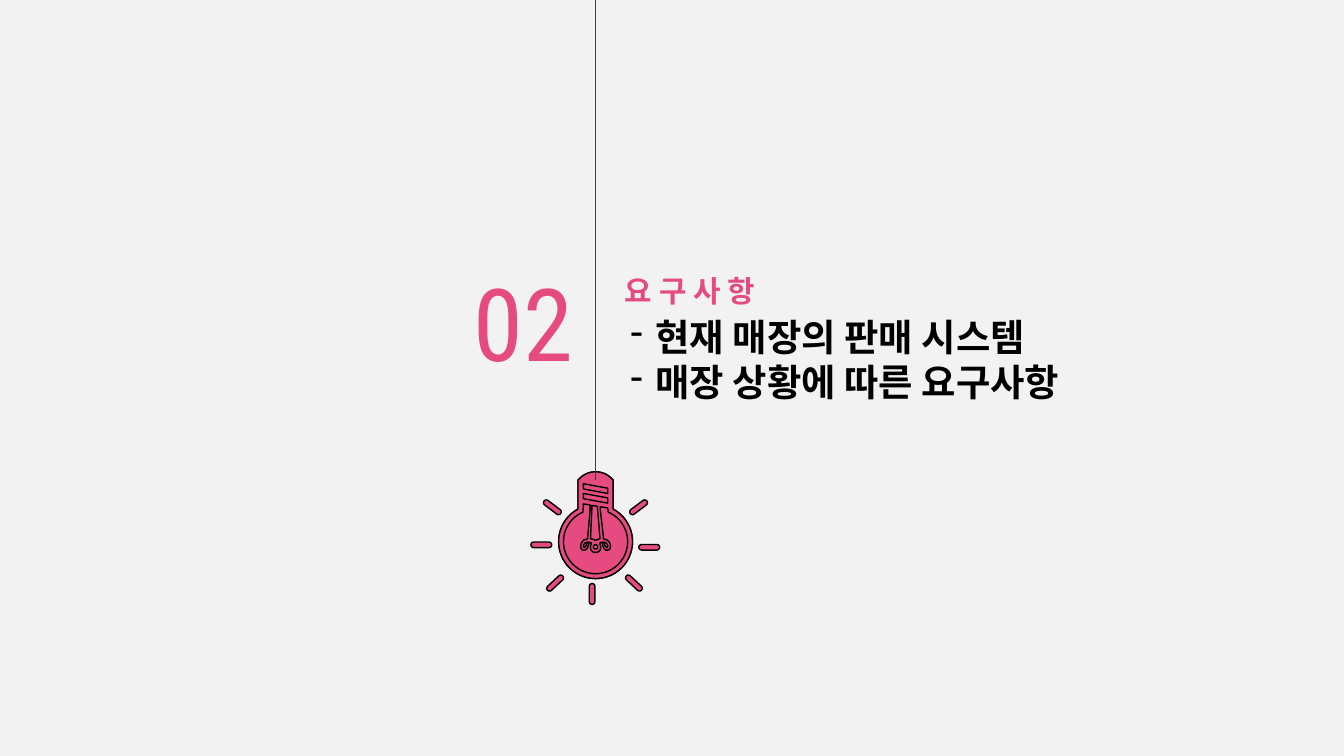
from dataclasses import dataclass
from math import cos, radians, sin

from lxml import etree
from pptx import Presentation
from pptx.dml.color import RGBColor
from pptx.enum.shapes import MSO_CONNECTOR, MSO_SHAPE
from pptx.enum.text import MSO_AUTO_SIZE, PP_ALIGN
from pptx.oxml.ns import qn
from pptx.util import Pt

LEFT, CENTER = PP_ALIGN.LEFT, PP_ALIGN.CENTER
FIT = MSO_AUTO_SIZE.SHAPE_TO_FIT_TEXT
CAPSULE = MSO_SHAPE.ROUNDED_RECTANGLE
STRAIGHT = MSO_CONNECTOR.STRAIGHT


@dataclass(frozen=True)
class Theme:
    background: str = "F2F2F2"
    accent: str = "E54B81"
    ink: str = "000000"
    cord: str = "404040"
    body_font: str = "Arial"
    number_font: str = "Roboto Condensed"
    heading_size: float = 16
    item_size: float = 20
    number_size: float = 54
    outline: float = 0.75
    cord_width: float = 1


def rgb(code):
    return RGBColor.from_string(code)


def format_text(para, text, *, font, size, color, bold=False, align=LEFT, dash_indent=0):
    para.alignment = align
    if dash_indent:
        properties = para._p.get_or_add_pPr()
        properties.set("marL", str(Pt(dash_indent)))
        properties.set("indent", str(-Pt(dash_indent)))
        etree.SubElement(properties, qn("a:buFontTx"))
        etree.SubElement(properties, qn("a:buChar")).set("char", "-")
    span = para.add_run()
    span.text = text
    span.font.name = font
    span.font.size = Pt(size)
    span.font.bold = bold
    span.font.color.rgb = rgb(color)


def arc(radius, start, end, center=(0, 0), steps=48):
    angles = [radians(start + (end - start) * i / steps) for i in range(steps + 1)]
    return [(center[0] + radius * sin(a), center[1] - radius * cos(a)) for a in angles]


def mirror(points):
    return [(-x, y) for x, y in reversed(points)]


class Slide:
    def __init__(self, deck, theme):
        self.theme = theme
        self.page = deck.slides.add_slide(deck.slide_layouts[6])
        fill = self.page.background.fill
        fill.solid()
        fill.fore_color.rgb = rgb(theme.background)

    def text(self, left, top, width, height, lines, margins=(0, 0, 0), **style):
        box = self.page.shapes.add_textbox(Pt(left), Pt(top), Pt(width), Pt(height))
        frame = box.text_frame
        frame.word_wrap = True
        frame.auto_size = FIT
        frame.margin_left, frame.margin_right = Pt(margins[0]), Pt(margins[1])
        frame.margin_top = frame.margin_bottom = Pt(margins[2])
        for index, line in enumerate(lines):
            para = frame.add_paragraph() if index else frame.paragraphs[0]
            format_text(para, line, **style)

    def group(self):
        return self.page.shapes.add_group_shape().shapes

    def paint(self, shape):
        shape.shadow.inherit = False
        shape.fill.solid()
        shape.fill.fore_color.rgb = rgb(self.theme.accent)
        shape.line.color.rgb = rgb(self.theme.ink)
        shape.line.width = Pt(self.theme.outline)

    def outline(self, shapes, origin, contours):
        placed = [[(Pt(origin[0] + x), Pt(origin[1] + y)) for x, y in contour]
                  for contour in contours]
        builder = shapes.build_freeform(*placed[0][0], scale=1.0)
        for index, contour in enumerate(placed):
            if index:
                builder.move_to(*contour[0])
            builder.add_line_segments(contour[1:], close=True)
        self.paint(builder.convert_to_shape())

    def ray(self, shapes, center, length, thickness, angle):
        shape = shapes.add_shape(CAPSULE, Pt(center[0] - length / 2),
                                 Pt(center[1] - thickness / 2), Pt(length), Pt(thickness))
        shape.adjustments[0] = 0.5
        shape.rotation = angle
        self.paint(shape)

    def cord(self, shapes, start, end):
        line = shapes.add_connector(STRAIGHT, *(Pt(value) for value in (*start, *end)))
        line.line.color.rgb = rgb(self.theme.cord)
        line.line.width = Pt(self.theme.cord_width)
        etree.SubElement(line._element.spPr, qn("a:effectLst"))


def bulb_contours():
    cap = arc(12.1, -48, 48, center=(0, -25.3), steps=16)
    body = arc(19.8, 28.4, 331.6) + [(-9.4, -33)] + cap + [(9.4, -33)]
    slots = [[(-6.5, y), (6.5, y + 2.4), (6.5, y + 5.2), (-6.5, y + 2.8)]
             for y in (-31, -25.8)]
    coil = [(-4.3, -1.4), (-6.2, -0.9), (-7.5, 0.5), (-8, 2.2), (-7.8, 3.7),
            (-7, 4.5), (-5.6, 4.6), (-4.5, 3.6), (-3.8, 2), (-3.5, 0.2),
            (-2.2, 0.8), (-2.8, 2.9), (-2.5, 4.4), (-1.5, 5.5), (0, 5.8)]
    glass = (arc(17.2, 23.3, 336.7) + [(-6.5, -20.2), (-2.9, -19.6), (-2.9, -17.3)]
             + coil + mirror(coil)[1:] + [(2.5, -17.3), (2.5, -18.7), (6.5, -18)])
    stem = [(0, -0.6), (-1.2, -1.2), (-2.7, -1.5), (-2, -17.3), (-2, -19.4),
            (1, -18.9), (1.1, -17.3), (2.4, -1.5), (1.2, -1.2)]
    eye = [(-4.4, 0.2), (-4.8, 1.8), (-5.5, 2.8), (-6.4, 3.1), (-6.6, 2.2), (-5.8, 0.8)]
    knot = arc(1.2, 0, 360, center=(0, 2.8), steps=16)
    return body, [*slots, glass, stem, eye, mirror(eye), knot]


def main():
    theme = Theme()
    deck = Presentation()
    deck.slide_width, deck.slide_height = Pt(720), Pt(405)
    slide = Slide(deck, theme)

    slide.text(334.8, 146.2, 246.2, 19.4, ["요 구 사 항"], font=theme.body_font,
               size=theme.heading_size, color=theme.accent, bold=True)
    slide.text(337.7, 164.9, 260.6, 55.4,
               ["현재 매장의 판매 시스템", "매장 상황에 따른 요구사항"],
               margins=(0, 7.2, 3.6), font=theme.body_font, size=theme.item_size,
               color=theme.ink, bold=True, dash_indent=13.5)
    slide.text(247, 139.7, 67, 65.5, ["02"], font=theme.number_font,
               size=theme.number_size, color=theme.accent, align=CENTER)

    lamp = slide.group()
    bulb_center = (319.1, 290.2)
    body, details = bulb_contours()
    slide.outline(lamp, bulb_center, [body])
    slide.outline(lamp, bulb_center, [body, *details])
    rays = [((347.8, 293.2), 0), ((317.2, 318.2), 90), ((290, 291.9), 0),
            ((295.9, 271.8), 37), ((342.1, 271.8), -37),
            ((297.4, 312.4), -43), ((339.6, 312.4), 43)]
    for center, angle in rays:
        slide.ray(lamp, center, 11.2, 3, angle)
    slide.cord(lamp, (319, 257), (319, 0))

    deck.save("out.pptx")


if __name__ == "__main__":
    main()
